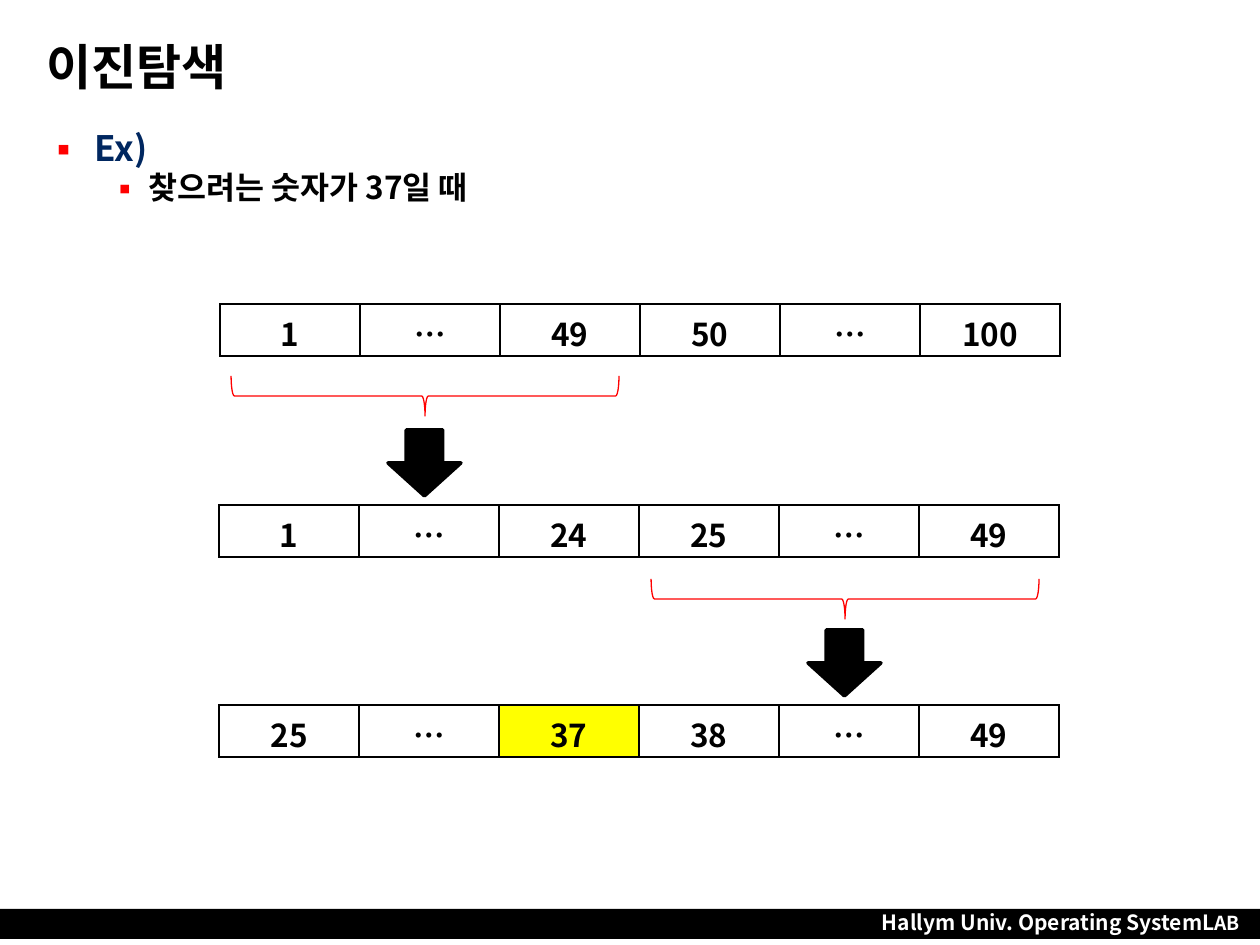
from lxml import etree
from pptx import Presentation
from pptx import util as u
from pptx.dml.color import RGBColor
from pptx.enum import shapes, text
from pptx.oxml.ns import qn

PX = u.Inches(1) // 126
SANS = "Noto Sans CJK KR"


def color(value):
    return RGBColor.from_string(value)


class SlideBuilder:
    """Draws styled elements on one slide, with lengths in px."""

    def __init__(self, slide):
        self.slide = slide

    def box(self, *lengths):
        return [length * PX for length in lengths]

    def style(self, run, size, ink, font):
        for key, value in dict(size=u.Pt(size), bold=True, name=font).items():
            setattr(run.font, key, value)
        run.font.color.rgb = color(ink)
        latin = run.font._element.find(qn("a:latin"))
        latin.addnext(etree.Element(qn("a:ea"), typeface=SANS))

    def add_words(self, paragraph, wording, size, ink="000000", font=SANS):
        run = paragraph.add_run()
        run.text = wording
        self.style(run, size, ink, font)

    def frame(self, *place, **settings):
        frame = self.slide.shapes.add_textbox(*self.box(*place)).text_frame
        for key, value in {"word_wrap": True, **settings}.items():
            setattr(frame, key, value)
        return frame

    def bullet(self, paragraph, wording, size, ink, margin, indent):
        props = paragraph._p.get_or_add_pPr()
        props.set("marL", str(margin * PX))
        props.set("indent", str(-indent * PX))
        tint = etree.SubElement(props, qn("a:buClr"))
        etree.SubElement(tint, qn("a:srgbClr"), val="FF0000")
        etree.SubElement(props, qn("a:buFont"), typeface=SANS)
        etree.SubElement(props, qn("a:buChar"), char="▪")
        paragraph.line_spacing = 0.9
        self.add_words(paragraph, wording, size, ink)

    def shape(self, kind, *place, fill=None, line=None, width=1, rotation=0):
        shape = self.slide.shapes.add_shape(kind, *self.box(*place))
        shape.shadow.inherit = False
        shape.rotation = rotation
        if fill:
            shape.fill.solid()
            shape.fill.fore_color.rgb = color(fill)
        else:
            shape.fill.background()
        if line:
            shape.line.color.rgb = color(line)
            shape.line.width = u.Pt(width)
        else:
            shape.line.fill.background()

    def border(self, cell):
        props = cell._tc.get_or_add_tcPr()
        for index, side in enumerate(("lnL", "lnR", "lnT", "lnB")):
            edge = etree.Element(qn(f"a:{side}"), w=str(int(u.Pt(1))))
            ink = etree.SubElement(edge, qn("a:solidFill"))
            etree.SubElement(ink, qn("a:srgbClr"), val="000000")
            props.insert(index, edge)

    def number_row(self, left, top, numbers, found=None):
        place = self.box(left, top, 140 * len(numbers), 52)
        table = self.slide.shapes.add_table(1, len(numbers), *place).table
        table.first_row = table.horz_banding = False
        for cell, number in zip(table.rows[0].cells, numbers):
            cell.fill.solid()
            cell.fill.fore_color.rgb = color("FFFF00" if number == found else "FFFFFF")
            self.border(cell)
            paragraph = cell.text_frame.paragraphs[0]
            paragraph.alignment = text.PP_ALIGN.CENTER
            self.add_words(paragraph, number, 18)

    def narrowing(self, center, brace_top, arrow_top):
        length, depth = 388, 40
        self.shape(shapes.MSO_SHAPE.DOWN_ARROW, center - 37, arrow_top, 73, 66,
                   fill="000000", line="000000", width=2)
        self.shape(shapes.MSO_SHAPE.RIGHT_BRACE, center - depth // 2,
                   brace_top + (depth - length) // 2, depth, length,
                   line="FF0000", width=0.75, rotation=90)


def main():
    deck = Presentation()
    deck.slide_width, deck.slide_height = 1260 * PX, 945 * PX
    page = SlideBuilder(deck.slides.add_slide(deck.slide_layouts[6]))

    page.shape(shapes.MSO_SHAPE.RECTANGLE, 0, 909, 1260, 30, fill="000000")
    footer = page.frame(867, 903, 388, 38, word_wrap=False)
    lab = footer.paragraphs[0]
    lab.alignment = text.PP_ALIGN.CENTER
    for wording, size in (("Hallym Univ. Operating", 12), (" ", 11), ("SystemL", 12), ("AB", 11)):
        page.add_words(lab, wording, size, "FFFFFF")

    title = page.frame(34, 16, 1191, 100, vertical_anchor=text.MSO_ANCHOR.MIDDLE)
    page.add_words(title.paragraphs[0], "이진탐색", 28, font="Montserrat")

    body = page.frame(34, 125, 1191, 743)
    page.bullet(body.paragraphs[0], "Ex)", 20, "002760", 48, 48)
    target = body.add_paragraph()
    target.level = 1
    page.bullet(target, "찾으려는 숫자가 37일 때", 18, "000000", 102, 39)
    target.space_before = u.Pt(2)

    page.number_row(220, 304, ["1", "…", "49", "50", "…", "100"])
    page.number_row(219, 505, ["1", "…", "24", "25", "…", "49"])
    page.number_row(219, 705, ["25", "…", "37", "38", "…", "49"], found="37")
    page.narrowing(425, 376, 430)
    page.narrowing(845, 579, 630)

    deck.save("out.pptx")


if __name__ == "__main__":
    main()
